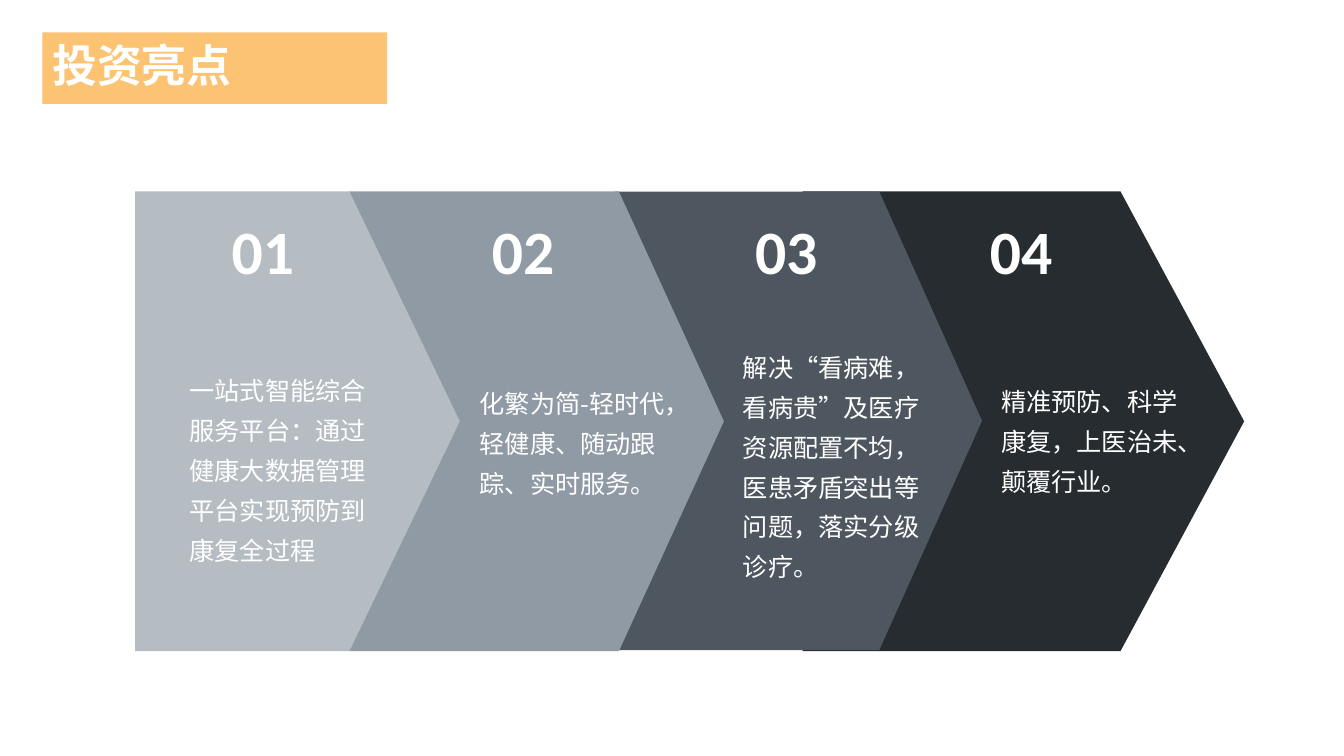
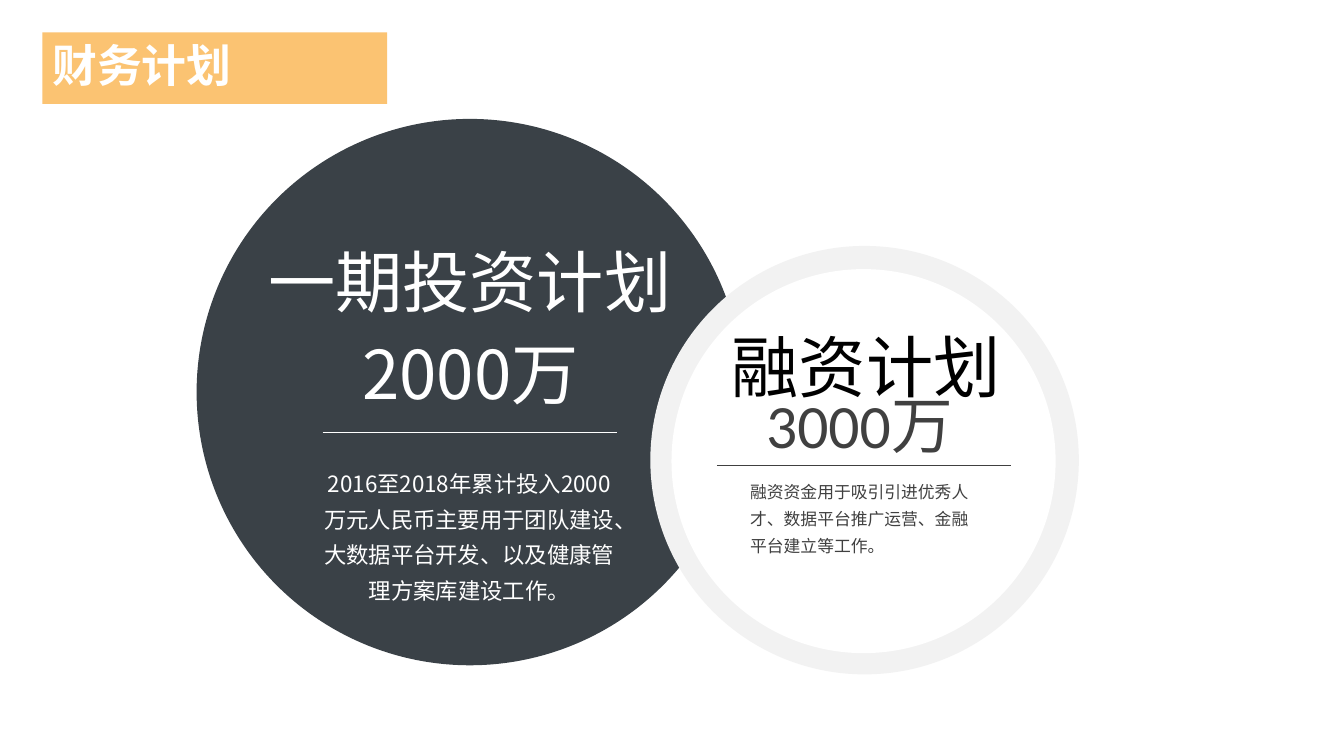
import pptx
import pptx.dml.color
import pptx.enum.shapes
import pptx.enum.text
import pptx.oxml.ns
import pptx.util
from lxml import etree

Inches = pptx.util.Inches
Pt = pptx.util.Pt
RGBColor = pptx.dml.color.RGBColor
Shape = pptx.enum.shapes.MSO_SHAPE
Align = pptx.enum.text.PP_ALIGN
qn = pptx.oxml.ns.qn

WHITE = RGBColor(0xFF, 0xFF, 0xFF)
BLACK = RGBColor(0x00, 0x00, 0x00)
ORANGE = RGBColor(0xFB, 0xC3, 0x72)
CHARCOAL = RGBColor(0x40, 0x40, 0x40)
SLATE = RGBColor(0x3A, 0x41, 0x47)
RING_GRAY = RGBColor(0xF2, 0xF2, 0xF2)
STEP_COLORS = [RGBColor(0xB5, 0xBC, 0xC2), RGBColor(0x90, 0x9A, 0xA4),
               RGBColor(0x4E, 0x57, 0x5F), RGBColor(0x27, 0x2C, 0x30)]

LATIN = "Calibri"
CHINESE = "Noto Sans CJK SC"
LINE_HEIGHT = 1.22  # single line, as a multiple of the text size

TITLE = {"size": Pt(32), "name": LATIN, "bold": True}
NUMBER = {"size": Pt(44), "name": LATIN, "bold": True}
AMOUNT = {"size": Pt(44), "name": LATIN}
HEADING = {"size": Pt(48), "name": CHINESE}
STEP_TEXT = {"size": Pt(18), "name": CHINESE}
LARGE_NOTE = {"size": Pt(16), "name": CHINESE}
SMALL_NOTE = {"size": Pt(12), "name": CHINESE}


def add_filled(shapes, preset, box, color):
    shape = shapes.add_shape(preset, *map(Inches, box))
    shape.shadow.inherit = False
    shape.fill.solid()
    shape.fill.fore_color.rgb = color
    shape.line.fill.background()
    return shape


def write_text(shape, text, style, color=WHITE, spacing=1.0,
               align=Align.LEFT, insets=(0.1, 0.05)):
    """Put one top-anchored paragraph in the shape, with even line pitch."""
    frame = shape.text_frame
    frame.word_wrap = True
    frame.vertical_anchor = pptx.enum.text.MSO_ANCHOR.TOP
    frame.margin_left = frame.margin_right = Inches(insets[0])
    frame.margin_top = frame.margin_bottom = Inches(insets[1])
    paragraph = frame.paragraphs[0]
    paragraph.alignment = align
    paragraph.line_spacing = Pt(round(style["size"].pt * LINE_HEIGHT * spacing, 1))
    run = paragraph.add_run()
    run.text = text
    for name, value in style.items():
        setattr(run.font, name, value)
    run.font.color.rgb = color
    east_asian = etree.Element(qn("a:ea"), typeface=CHINESE)
    run.font._element.find(qn("a:latin")).addnext(east_asian)


presentation = pptx.Presentation()
presentation.slide_width = Inches(13.33)
presentation.slide_height = Inches(7.5)

slides = []
for title in ["投资亮点", "财务计划"]:
    slide = presentation.slides.add_slide(presentation.slide_layouts[6])
    band = add_filled(slide.shapes, Shape.RECTANGLE, (0.42, 0.32, 3.42, 0.71), ORANGE)
    write_text(band, title, TITLE)
    slides.append(slide)
highlights, finance = slides

# Investment highlights: left, width, height and point depth of each arrow,
# number left, then text left, top, height and wording
steps = [
    (1.34, 3.22, 4.56, 0.34, 2.2, 1.78, 3.58, 2.07,
     "一站式智能综合服务平台：通过健康大数据管理平台实现预防到康复全过程"),
    (3.46, 3.72, 4.56, 0.28, 4.78, 4.66, 3.71, 1.28,
     "化繁为简-轻时代，轻健康、随动跟踪、实时服务。"),
    (6.1, 3.64, 4.55, 0.28, 7.39, 7.27, 3.35, 2.46,
     "解决“看病难，看病贵”及医疗资源配置不均，医患矛盾突出等问题，落实分级诊疗。"),
    (7.96, 4.38, 4.56, 0.28, 9.72, 9.83, 3.69, 1.28,
     "精准预防、科学康复，上医治未、颠覆行业。"),
]
# The leftmost arrow lies on top, so the arrows are drawn from right to left
for step, color in reversed(list(zip(steps, STEP_COLORS))):
    left, width, height, depth = step[:4]
    arrow = add_filled(highlights.shapes, Shape.PENTAGON, (left, 1.9, width, height), color)
    arrow.adjustments[0] = depth

for index, step in enumerate(steps, start=1):
    number_left, text_left, text_top, text_height, text = step[4:]
    number_box = highlights.shapes.add_textbox(
        *map(Inches, (number_left, 2.05, 1.05, 0.84)))
    write_text(number_box, f"{index:02}", NUMBER)
    text_box = highlights.shapes.add_textbox(
        *map(Inches, (text_left, text_top, 2.09, text_height)))
    write_text(text_box, text, STEP_TEXT, spacing=1.3)

# Financial plan
add_filled(finance.shapes, Shape.OVAL, (1.95, 1.18, 5.42, 5.42), SLATE)
ring = finance.shapes.add_group_shape()
add_filled(ring.shapes, Shape.OVAL, (6.45, 2.44, 4.25, 4.25), RING_GRAY)
add_filled(ring.shapes, Shape.OVAL, (6.66, 2.67, 3.81, 3.81), WHITE)

for left, top, color in [(3.2, 4.29, WHITE), (7.11, 4.62, CHARCOAL)]:
    divider = finance.shapes.add_connector(
        pptx.enum.shapes.MSO_CONNECTOR.STRAIGHT,
        *map(Inches, (left, top, left + 2.92, top)))
    divider.line.color.rgb = color
    divider.line.width = Pt(0.5)
    etree.SubElement(divider._element.spPr, qn("a:effectLst"))

note = {"spacing": 1.3, "insets": (0.07, 0.04)}
plan_texts = [
    ((2.56, 2.08, 4.75, 1.15), "一期投资计划", HEADING, {"spacing": 1.3}),
    ((2.42, 3.23, 4.49, 0.91), "2000万", HEADING, {"align": Align.CENTER}),
    ((3.12, 4.54, 3.07, 1.48),
     "2016至2018年累计投入2000万元人民币主要用于团队建设、大数据平台开发、以及健康管理方案库建设工作。",
     LARGE_NOTE, {"align": Align.CENTER, **note}),
    ((7.16, 2.92, 4.37, 1.15), "融资计划", HEADING, {"color": BLACK, "spacing": 1.3}),
    ((7.5, 3.78, 3.53, 0.84), "3000万", AMOUNT, {"color": CHARCOAL}),
    ((7.37, 4.68, 2.4, 0.86),
     "融资资金用于吸引引进优秀人才、数据平台推广运营、金融平台建立等工作。",
     SMALL_NOTE, {"color": CHARCOAL, **note}),
]
for box, text, style, options in plan_texts:
    write_text(finance.shapes.add_textbox(*map(Inches, box)), text, style, **options)

presentation.save("out.pptx")
